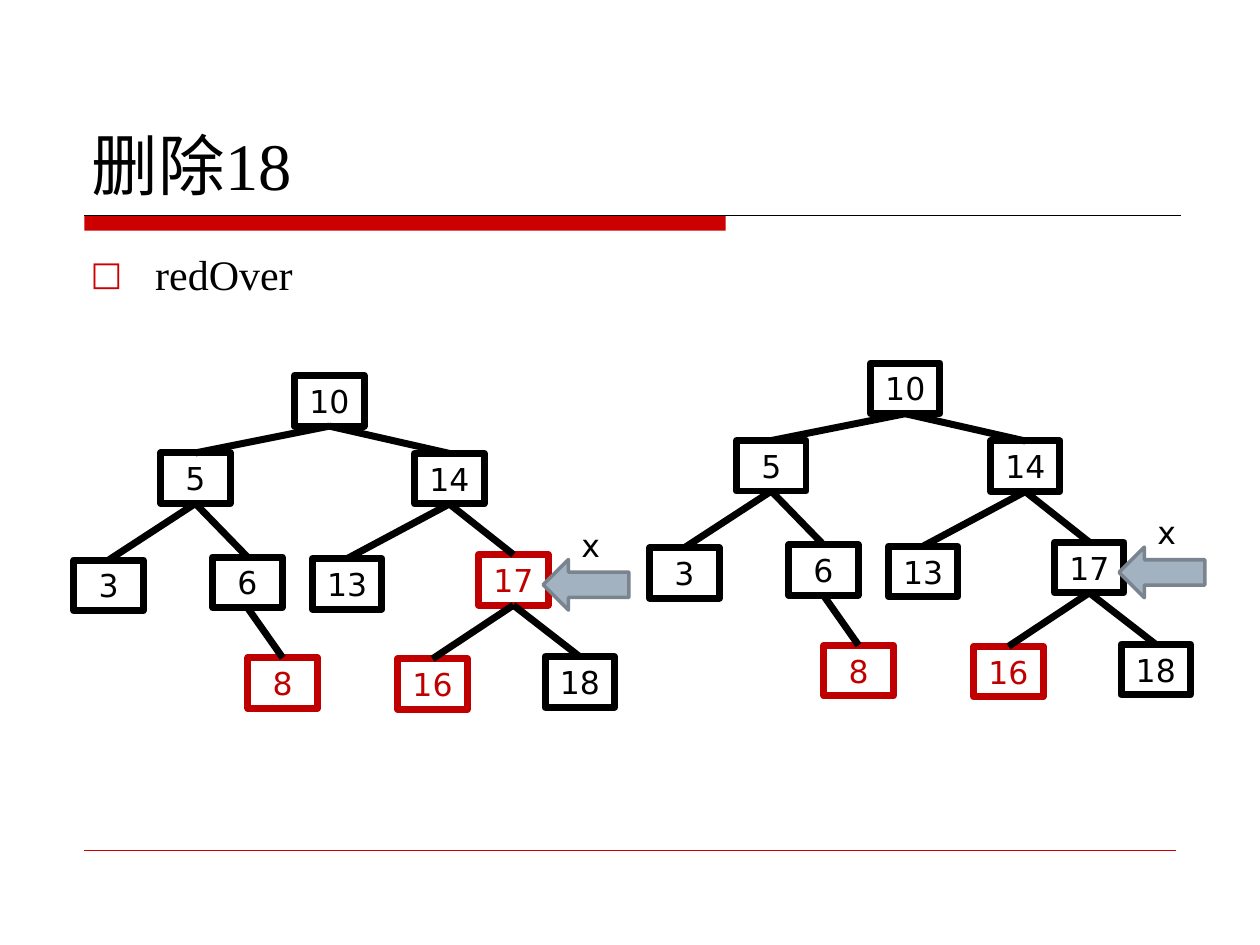
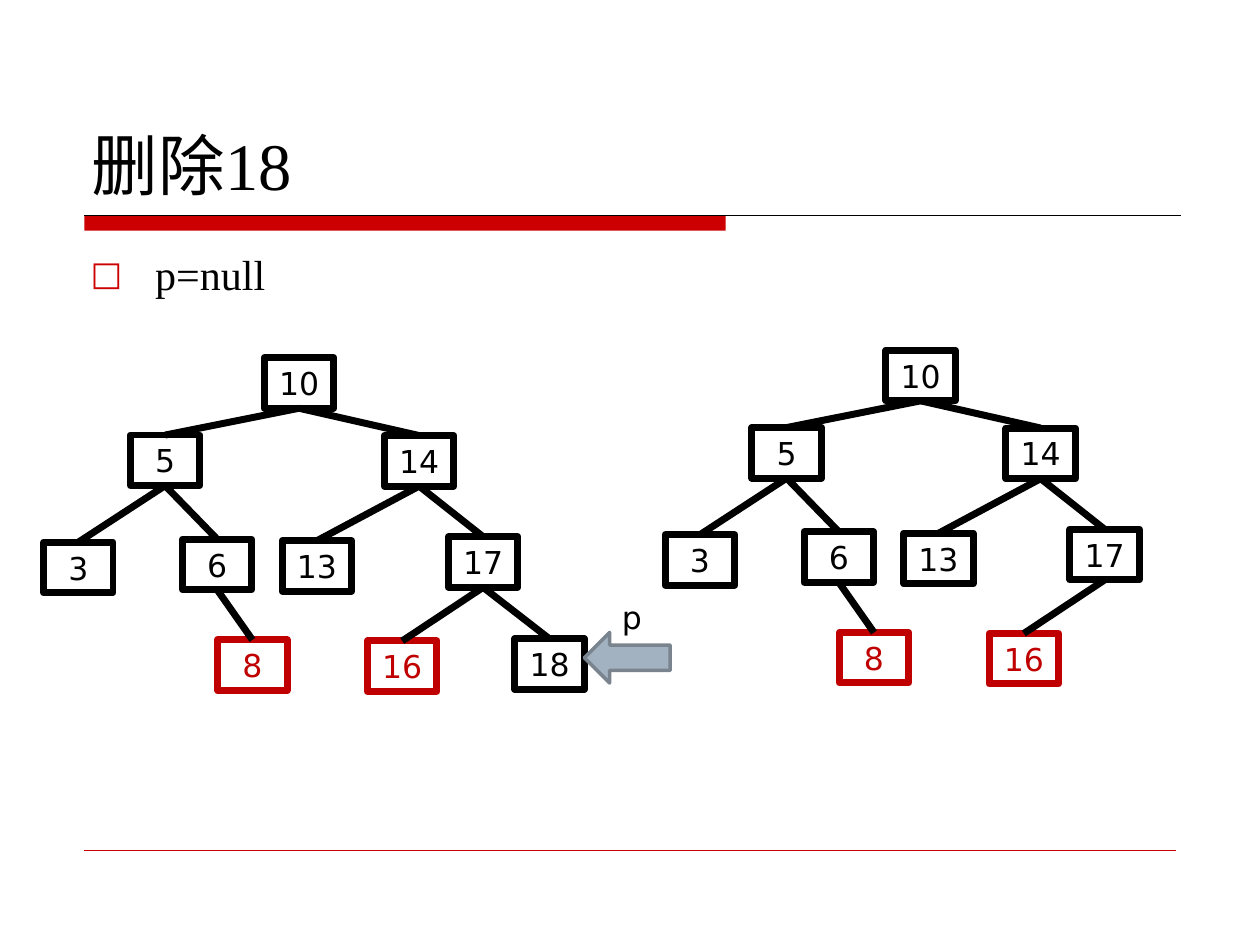
from lxml.etree import SubElement
from pptx import Presentation
from pptx.dml.color import RGBColor
from pptx.enum.shapes import MSO_CONNECTOR, MSO_SHAPE
from pptx.enum.text import MSO_ANCHOR, MSO_AUTO_SIZE, PP_ALIGN
from pptx.oxml.ns import qn
from pptx.util import Cm, Pt

COLORS = {
    "black": "000000",
    "theme_red": "CC0000",
    "node_red": "C00000",
    "arrow": "A3B2C1",
    "arrow_edge": "79848F",
}
TEXT_FONT = "Times New Roman"
NODE_FONT = "DejaVu Sans"

NODE_WIDTH, NODE_HEIGHT = 1.4, 1.02
ARROW_WIDTH = 1.73
# Centimetres right of and below the root node.
NODE_OFFSETS = {
    10: (0, 0),
    5: (-2.7, 1.56),
    3: (-4.45, 3.72),
    6: (-1.65, 3.66),
    8: (-0.94, 5.69),
    14: (2.42, 1.57),
    13: (0.36, 3.69),
    18: (5.05, 5.67),
    16: (2.08, 5.71),
    17: (3.71, 3.61),
}
EDGES = [(10, 5), (5, 3), (5, 6), (6, 8), (10, 14),
         (14, 13), (14, 17), (17, 18), (17, 16)]

# A pointer is its label, the node it marks and its offset from that node.
X_POINTER = ("x", 17, 1.3, 0.1)
P_POINTER = ("p", 18, 1.4, -0.13)
SLIDES = [
    ("redOver", [
        {"root": (5.94, 7.57), "red": {8, 16, 17}, "pointer": X_POINTER},
        {"root": (17.55, 7.32), "red": {8, 16}, "pointer": X_POINTER},
    ]),
    ("p=null", [
        {"root": (5.33, 7.21), "red": {8, 16}, "pointer": P_POINTER},
        {"root": (17.86, 7.06), "red": {8, 16}, "removed": {18}},
    ]),
]


def rgb(name):
    return RGBColor.from_string(COLORS[name])


def set_font(paragraph, name, size, color="black"):
    paragraph.font.name = name
    paragraph.font.size = Pt(size)
    paragraph.font.color.rgb = rgb(color)


def set_line(shape, color, width):
    shape.line.color.rgb = rgb(color)
    shape.line.width = Pt(width)


def add_line(shapes, color, width, start=(0, 0), end=(0, 0)):
    points = [Cm(value) for value in (*start, *end)]
    line = shapes.add_connector(MSO_CONNECTOR.STRAIGHT, *points)
    set_line(line, color, width)
    SubElement(line.element.spPr, qn("a:effectLst"))
    return line


def move_rules_to_layout(slide):
    """Draw the title band and the rules, then share them through the layout."""
    band = slide.shapes.add_shape(
        MSO_SHAPE.RECTANGLE, Cm(1.7), Cm(4.34), Cm(12.93), Cm(0.31))
    band.shadow.inherit = False
    band.fill.solid()
    band.fill.fore_color.rgb = rgb("theme_red")
    band.line.fill.background()
    title_rule = add_line(slide.shapes, "black", 0.75, (1.7, 4.34), (23.8, 4.34))
    footer_rule = add_line(
        slide.shapes, "theme_red", 0.25, (1.7, 17.14), (23.7, 17.14))
    for shape in (band, title_rule, footer_rule):
        slide.slide_layout.shapes.element.append(shape.element)


def set_title(slide, text):
    title = slide.shapes.title
    title.left, title.top = Cm(1.6), Cm(0.85)
    title.width, title.height = Cm(22.22), Cm(3.38)
    frame = title.text_frame
    frame.text = text
    frame.auto_size = MSO_AUTO_SIZE.NONE
    frame.vertical_anchor = MSO_ANCHOR.BOTTOM
    paragraph = frame.paragraphs[0]
    paragraph.alignment = PP_ALIGN.LEFT
    set_font(paragraph, TEXT_FONT, 38)


def add_bullet_text(slide, text):
    box = slide.shapes.add_textbox(Cm(1.58), Cm(4.88), Cm(22.22), Cm(11.86))
    box.text_frame.word_wrap = True
    paragraph = box.text_frame.paragraphs[0]
    paragraph.text = text
    paragraph.space_before = Pt(5)
    set_font(paragraph, TEXT_FONT, 24)
    properties = paragraph._p.get_or_add_pPr()
    properties.set("marL", str(Cm(1.3)))
    properties.set("indent", str(Cm(-1.3)))
    bullet_color = SubElement(properties, qn("a:buClr"))
    SubElement(bullet_color, qn("a:srgbClr"), val=COLORS["theme_red"])
    SubElement(properties, qn("a:buSzPct"), val="80000")
    SubElement(properties, qn("a:buFont"), typeface=NODE_FONT)
    SubElement(properties, qn("a:buChar"), char="□")


def add_node(shapes, key, left, top, color):
    node = shapes.add_shape(MSO_SHAPE.RECTANGLE, Cm(left), Cm(top),
                            Cm(NODE_WIDTH), Cm(NODE_HEIGHT))
    node.shadow.inherit = False
    node.fill.background()
    set_line(node, color, 4)
    frame = node.text_frame
    frame.word_wrap = False
    frame.vertical_anchor = MSO_ANCHOR.MIDDLE
    paragraph = frame.paragraphs[0]
    paragraph.text = str(key)
    paragraph.alignment = PP_ALIGN.CENTER
    set_font(paragraph, NODE_FONT, 18, color)
    return node


def add_edge(shapes, parent, child):
    """Join the bottom of the parent to the top of the child."""
    edge = add_line(shapes, "black", 4)
    edge.begin_connect(parent, 2)
    edge.end_connect(child, 0)


def add_pointer(shapes, label, left, top):
    arrow = shapes.add_shape(MSO_SHAPE.LEFT_ARROW, Cm(left), Cm(top),
                             Cm(ARROW_WIDTH), Cm(NODE_HEIGHT))
    arrow.shadow.inherit = False
    arrow.fill.solid()
    arrow.fill.fore_color.rgb = rgb("arrow")
    set_line(arrow, "arrow_edge", 2)
    box = shapes.add_textbox(Cm(left + 0.2), Cm(top - 0.81), Cm(1.52), Cm(1.02))
    box.text_frame.word_wrap = True
    paragraph = box.text_frame.paragraphs[0]
    paragraph.text = label
    paragraph.alignment = PP_ALIGN.CENTER
    set_font(paragraph, NODE_FONT, 18)


def add_tree(slide, root, red, removed=frozenset(), pointer=None):
    shapes = slide.shapes.add_group_shape().shapes
    root_left, root_top = root
    nodes = {}
    for key, (right, down) in NODE_OFFSETS.items():
        if key not in removed:
            color = "node_red" if key in red else "black"
            nodes[key] = add_node(
                shapes, key, root_left + right, root_top + down, color)
    for parent, child in EDGES:
        if child in nodes:
            add_edge(shapes, nodes[parent], nodes[child])
    if pointer:
        label, target, shift_right, shift_down = pointer
        right, down = NODE_OFFSETS[target]
        add_pointer(shapes, label, root_left + right + shift_right,
                    root_top + down + shift_down)


def main():
    presentation = Presentation()
    presentation.slide_width, presentation.slide_height = Cm(25.4), Cm(19.05)
    title_only = presentation.slide_layouts[5]
    for index, (step, trees) in enumerate(SLIDES):
        slide = presentation.slides.add_slide(title_only)
        if index == 0:
            move_rules_to_layout(slide)
        set_title(slide, "删除18")
        add_bullet_text(slide, step)
        for tree in trees:
            add_tree(slide, **tree)
    presentation.save("out.pptx")


if __name__ == "__main__":
    main()
